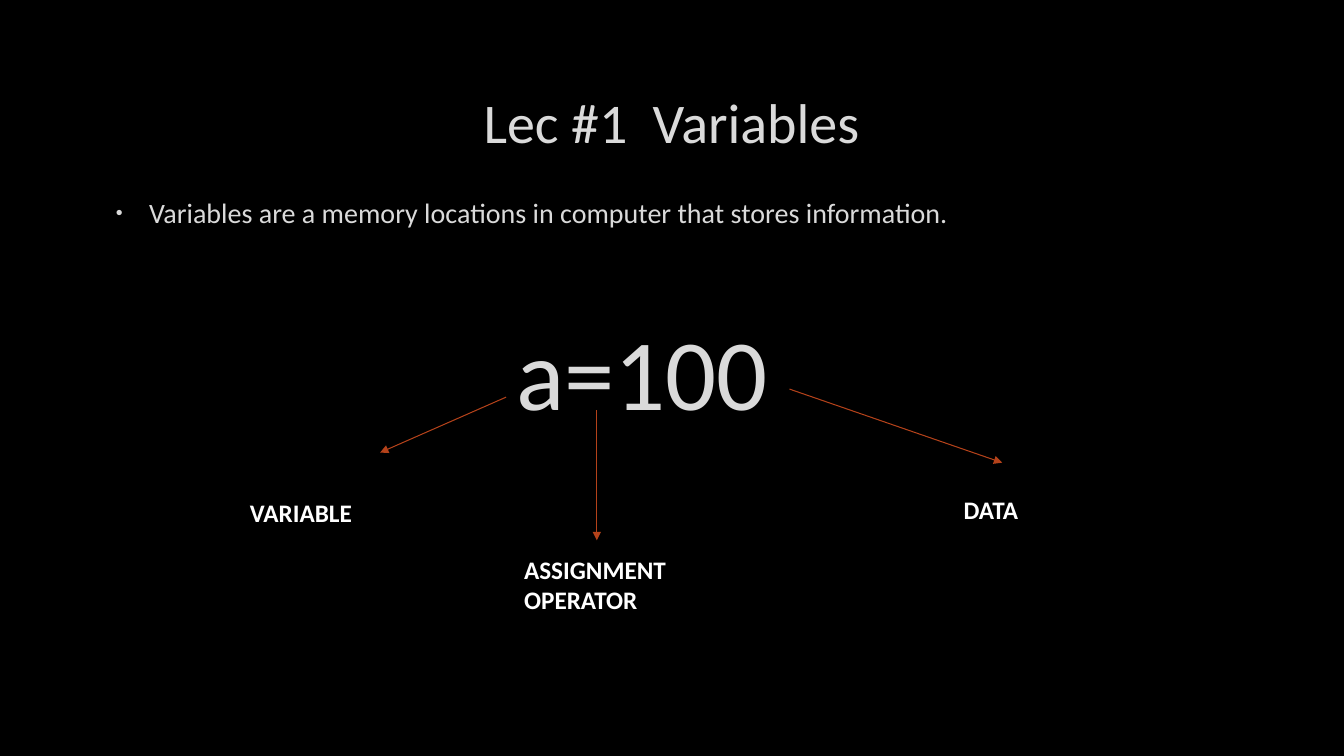
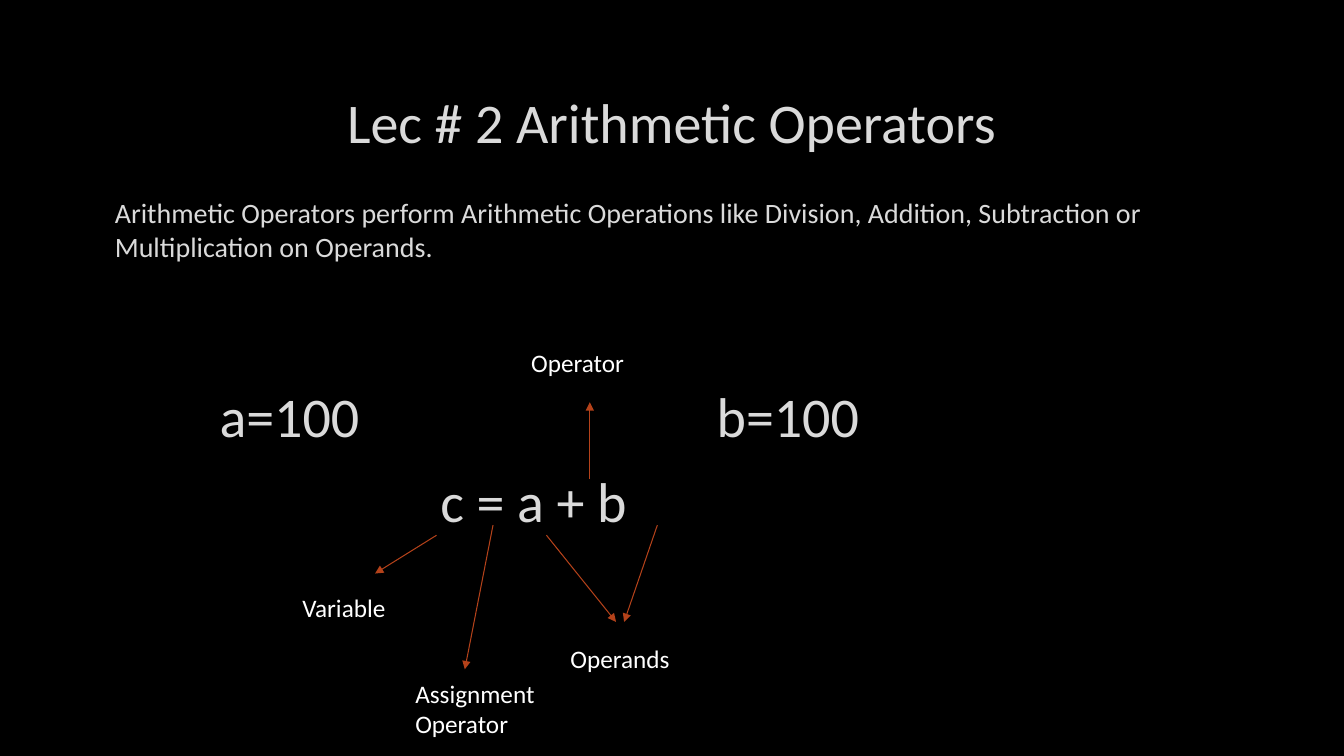
"""Builds two lecture slides on variables and arithmetic operators."""
from dataclasses import dataclass

from lxml import etree
from pptx import Presentation
from pptx.dml.color import RGBColor
from pptx.enum import shapes, text
from pptx.oxml import ns
from pptx.util import Inches, Pt

FONT = "Calibri"
BLACK, PALE, WHITE, RUST = "000000", "DADADA", "FFFFFF", "B4421A"
LEFT, WIDTH = 1, 11.32
TITLE_TOP, TITLE_HEIGHT = 0.67, 1.06
BODY_TOP, BODY_HEIGHT = 1.89, 0.8


@dataclass(frozen=True)
class Label:
    """A caption at the end of an arrow."""
    words: str
    left: float
    top: float
    width: float
    height: float = 0.4


@dataclass(frozen=True)
class Expression:
    """A line of code in large type."""
    code: str
    left: float
    top: float
    size: int = 40


@dataclass(frozen=True)
class Arrow:
    """An arrow from a part of an expression to its caption."""
    start: tuple[float, float]
    end: tuple[float, float]


@dataclass(frozen=True)
class Lecture:
    """The content of one slide."""
    title: str
    definition: str
    expressions: list[Expression]
    arrows: list[Arrow]
    labels: list[Label]
    bulleted: bool = False
    bold_labels: bool = False


LECTURES = [
    Lecture(
        "Lec #1  Variables",
        "Variables are a memory locations in computer that stores information.",
        [Expression("a=100", 5.02, 3.02, 72)],
        [
            Arrow((5.02, 3.94), (3.77, 4.49)),
            Arrow((5.92, 4.07), (5.92, 5.36)),
            Arrow((7.83, 3.86), (9.94, 4.59)),
        ],
        [
            Label("VARIABLE", 2.38, 4.88, 1.64),
            Label("ASSIGNMENT OPERATOR", 5.1, 5.45, 2.6, 0.71),
            Label("DATA", 9.46, 4.86, 1.64),
        ],
        bulleted=True,
        bold_labels=True,
    ),
    Lecture(
        "Lec # 2 Arithmetic Operators",
        "Arithmetic Operators perform Arithmetic Operations like Division, "
        "Addition, Subtraction or Multiplication on Operands.",
        [
            Expression("a=100", 2.08, 3.74),
            Expression("b=100", 7.01, 3.74),
            Expression("c = a + b", 4.27, 4.58),
        ],
        [
            Arrow((6.52, 5.21), (6.19, 6.17)),
            Arrow((5.42, 5.31), (6.11, 6.17)),
            Arrow((5.85, 4.75), (5.85, 3.99)),
            Arrow((4.33, 5.31), (3.72, 5.69)),
            Arrow((4.89, 5.21), (4.61, 6.64)),
        ],
        [
            Label("Operands", 5.56, 6.33, 1.36),
            Label("Operator", 5.17, 3.4, 1.36),
            Label("Variable", 2.9, 5.83, 1.23),
            Label("Assignment Operator", 4.02, 6.68, 2.09, 0.71),
        ],
    ),
]


def paint(color_format, color: str) -> None:
    """Give a fill or line a solid colour."""
    color_format.solid()
    color_format.fore_color.rgb = RGBColor.from_string(color)


def write(frame, words: str, *, size: int, color: str = PALE, bold: bool = False,
          align=text.PP_ALIGN.LEFT, anchor=text.MSO_ANCHOR.TOP, wrap: bool = True):
    """Put formatted text in a frame and return its paragraph."""
    frame.word_wrap = wrap
    frame.auto_size = text.MSO_AUTO_SIZE.NONE
    frame.vertical_anchor = anchor
    paragraph = frame.paragraphs[0]
    paragraph.alignment = align
    run = paragraph.add_run()
    run.text = words
    run.font.name, run.font.size, run.font.bold = FONT, Pt(size), bold
    paint(run.font.fill, color)
    return paragraph


def add_box(slide, left: float, top: float, width: float, height: float):
    """Add a text box and return its text frame."""
    return slide.shapes.add_textbox(
        Inches(left), Inches(top), Inches(width), Inches(height)).text_frame


def add_title(slide, words: str) -> None:
    """Place and fill the title placeholder."""
    title = slide.shapes.title
    title.left, title.top = Inches(LEFT), Inches(TITLE_TOP)
    title.width, title.height = Inches(WIDTH), Inches(TITLE_HEIGHT)
    write(title.text_frame, words, size=40,
          align=text.PP_ALIGN.CENTER, anchor=text.MSO_ANCHOR.MIDDLE)


def add_definition(slide, words: str, bulleted: bool) -> None:
    """Add the sentence under the title, with a bullet if wanted."""
    frame = add_box(slide, LEFT, BODY_TOP, WIDTH, BODY_HEIGHT)
    properties = write(frame, words, size=20)._p.get_or_add_pPr()
    margin, indent = (0.38, -0.33) if bulleted else (0.04, 0)
    properties.set("marL", str(Inches(margin)))
    properties.set("indent", str(Inches(indent)))
    if bulleted:
        bullet_color = etree.SubElement(properties, ns.qn("a:buClr"))
        etree.SubElement(bullet_color, ns.qn("a:srgbClr"), val=PALE)
        etree.SubElement(properties, ns.qn("a:buSzPct"), val="70000")
        etree.SubElement(properties, ns.qn("a:buFont"), typeface="Arial")
        etree.SubElement(properties, ns.qn("a:buChar"), char="•")


def add_arrow(slide, arrow: Arrow) -> None:
    """Draw a thin arrow with a triangular head."""
    connector = slide.shapes.add_connector(
        shapes.MSO_CONNECTOR.STRAIGHT,
        *(Inches(value) for value in arrow.start + arrow.end))
    connector.line.width = Pt(0.75)
    paint(connector.line.fill, RUST)
    etree.SubElement(connector.line._get_or_add_ln(), ns.qn("a:tailEnd"), type="triangle")
    etree.SubElement(connector._element.spPr, ns.qn("a:effectLst"))


def add_lecture(deck, lecture: Lecture) -> None:
    """Build one slide from its content."""
    slide = deck.slides.add_slide(deck.slide_layouts.get_by_name("Title Only"))
    add_title(slide, lecture.title)
    add_definition(slide, lecture.definition, lecture.bulleted)
    for expression in lecture.expressions:
        frame = add_box(slide, expression.left, expression.top,
                        3, expression.size / 50)
        write(frame, expression.code, size=expression.size, wrap=False)
    for arrow in lecture.arrows:
        add_arrow(slide, arrow)
    for label in lecture.labels:
        frame = add_box(slide, label.left, label.top, label.width, label.height)
        write(frame, label.words, size=18, color=WHITE, bold=lecture.bold_labels)


def main() -> None:
    """Build and save the deck."""
    deck = Presentation()
    deck.slide_width, deck.slide_height = Inches(13.33), Inches(7.5)
    paint(deck.slide_master.background.fill, BLACK)
    for lecture in LECTURES:
        add_lecture(deck, lecture)
    deck.save("out.pptx")


if __name__ == "__main__":
    main()
